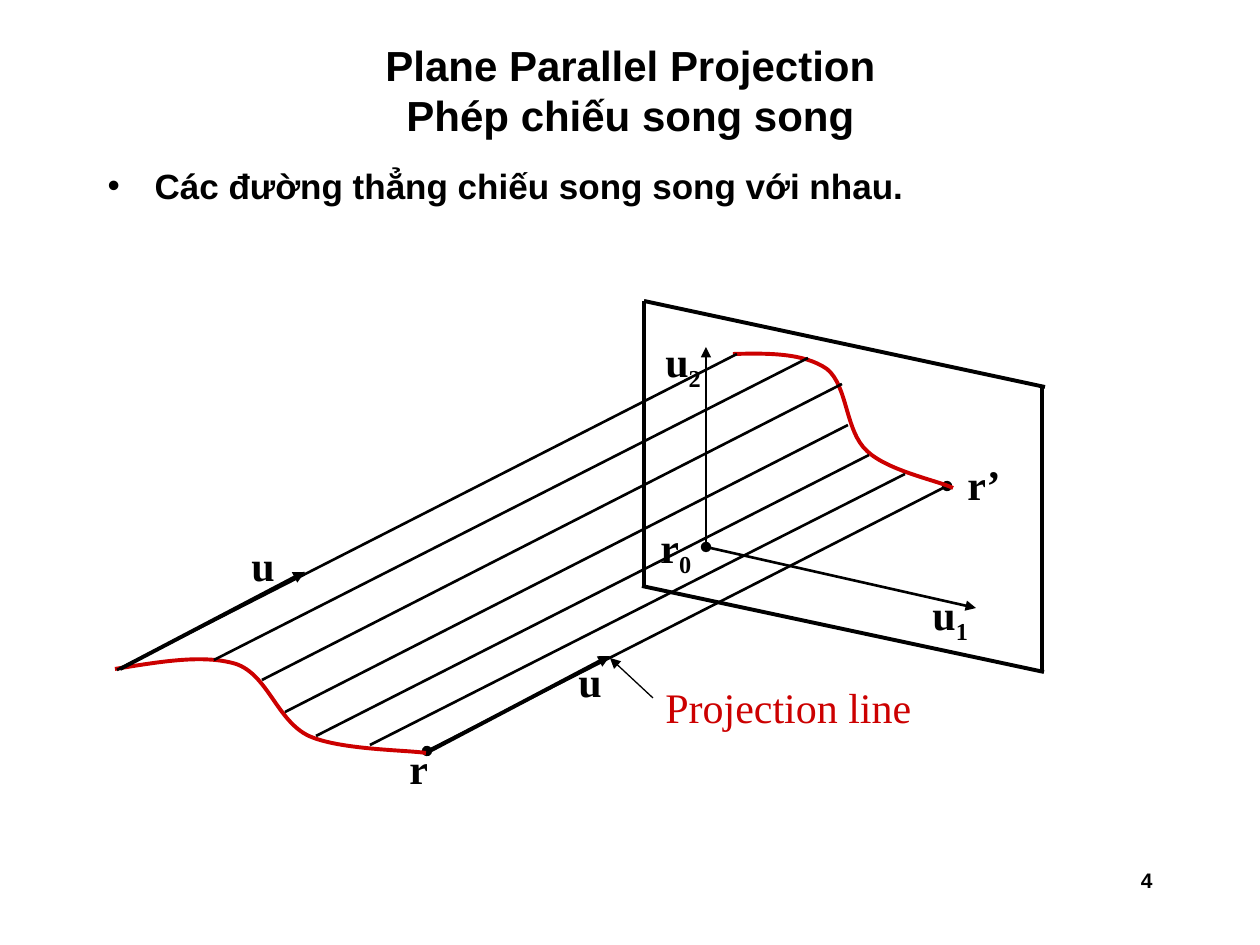
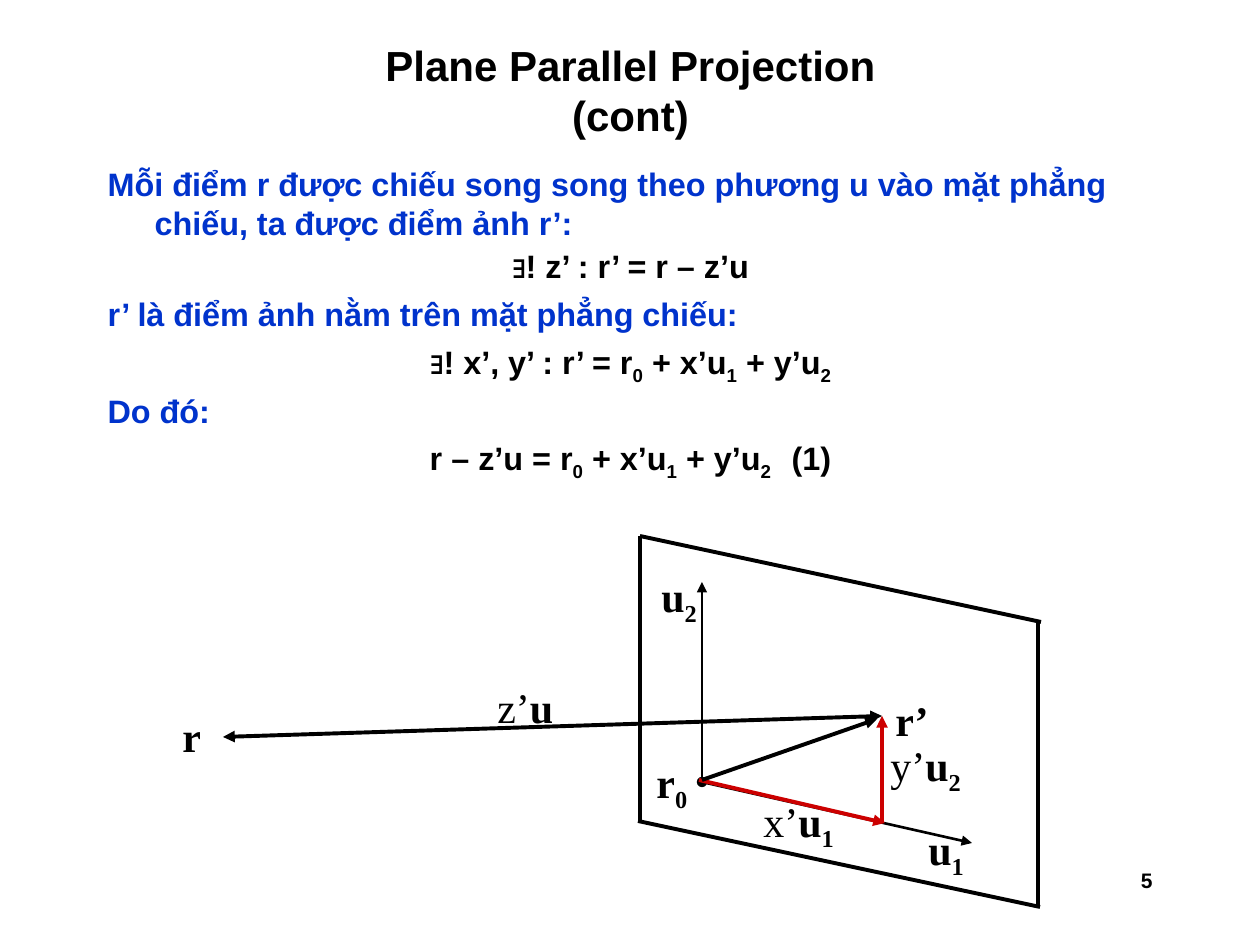
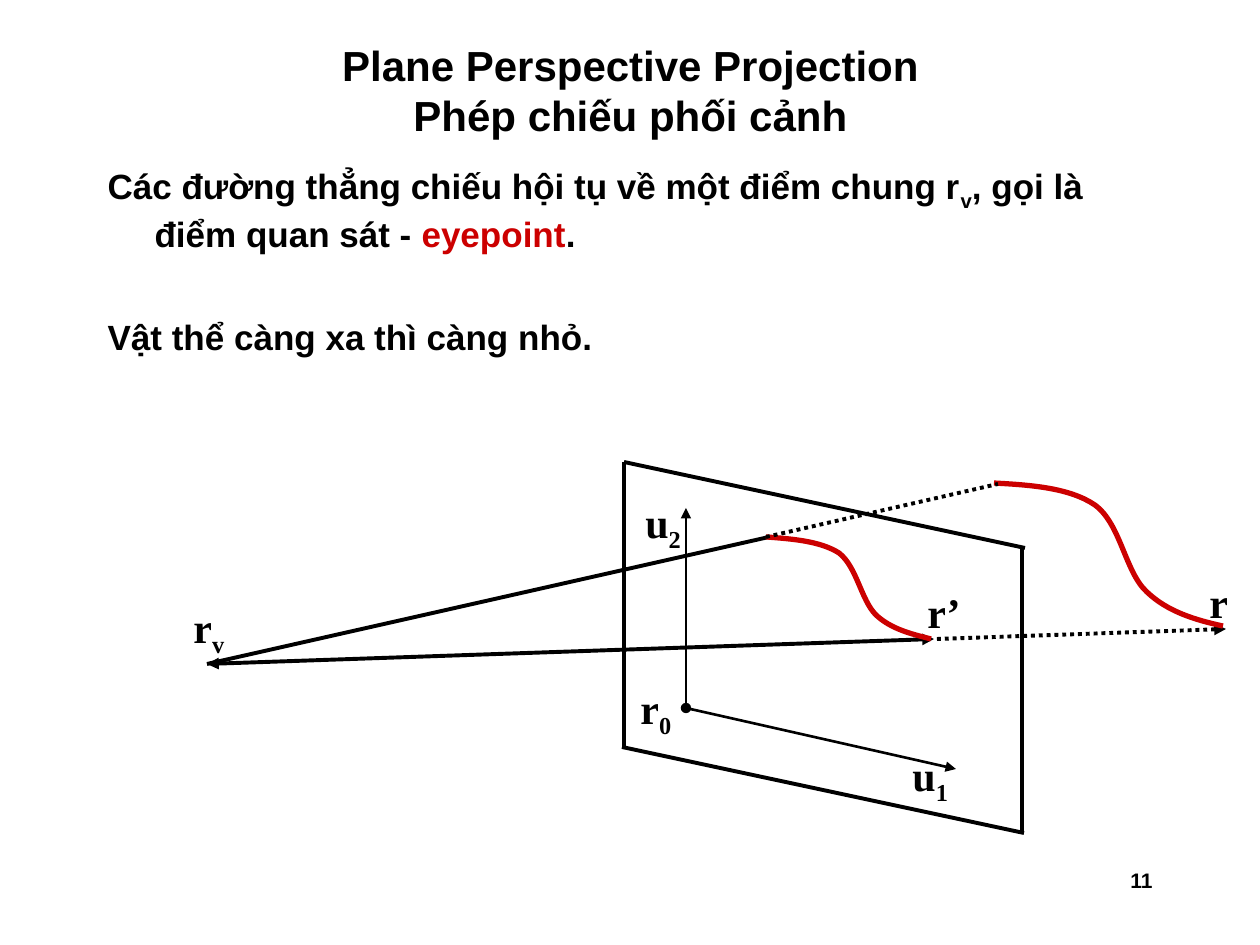
import pptx
import pptx.dml.color
import pptx.enum.dml
import pptx.enum.shapes
import pptx.enum.text
import pptx.oxml
import pptx.oxml.ns
import pptx.util
from lxml import etree

PX = 914400 / 126
COLORS = {"black": "000000", "red": "CC0000", "blue": "0033CC"}
SANS, SERIF = "Arial", "Times New Roman"
HANGING = 47
ALIGN = pptx.enum.text.PP_ALIGN
qn = pptx.oxml.ns.qn


def px(n):
    return pptx.util.Emu(round(n * PX))


def rgb(name):
    return pptx.dml.color.RGBColor.from_string(COLORS[name])


# Text
def add_runs(p, text, size, font, color="black", bold=True):
    """Add runs to p; the character after each underscore is a subscript."""
    first, *rest = text.split("_")
    pieces = [(first, False)]
    for part in rest:
        pieces += [(part[0], True), (part[1:], False)]
    for piece, is_sub in pieces:
        if not piece:
            continue
        r = p.add_run()
        r.text = piece
        r.font.size = pptx.util.Pt(size)
        r.font.name = font
        r.font.bold = bold
        r.font.color.rgb = rgb(color)
        if is_sub:
            r._r.get_or_add_rPr().set("baseline", "-25000")


def place(sp, x, y, w, h):
    sp.left, sp.top, sp.width, sp.height = px(x), px(y), px(w), px(h)
    sp.text_frame.word_wrap = True
    sp.text_frame.auto_size = pptx.enum.text.MSO_AUTO_SIZE.NONE


def add_slide(prs, title, number):
    slide = prs.slides.add_slide(prs.slide_layouts[1])
    sp = slide.shapes.title
    place(sp, 95, 42, 1071, 95)
    tf = sp.text_frame
    tf.vertical_anchor = pptx.enum.text.MSO_ANCHOR.MIDDLE
    tf.text = title
    p = tf.paragraphs[0]
    p.alignment = ALIGN.CENTER
    for r in p.runs:
        r.font.size = pptx.util.Pt(24)
        r.font.name = SANS
        r.font.bold = True
        r.font.color.rgb = rgb("black")
    # Slide number
    sp = slide.shapes.add_textbox(0, 0, 0, 0)
    place(sp, 903, 861, 262, 63)
    p = sp.text_frame.paragraphs[0]
    p.alignment = ALIGN.RIGHT
    add_runs(p, str(number), 12, SANS)
    return slide


def start_body(slide, height):
    sp = slide.placeholders[1]
    place(sp, 95, 158, 1071, height)
    return sp.text_frame


def add_body_line(tf, parts, size, centered=False, spacing=1.0, before=5, bullet=False):
    """Add a paragraph of (text, colour) parts with a hanging indent."""
    p = tf.paragraphs[0]
    if p.runs:
        p = tf.add_paragraph()
    p.alignment = ALIGN.CENTER if centered else ALIGN.LEFT
    p.line_spacing = spacing
    p.space_before = pptx.util.Pt(before)
    for text, color in parts:
        add_runs(p, text, size, SANS, color)
    pPr = p._p.get_or_add_pPr()
    pPr.set("marL", str(px(HANGING)))
    pPr.set("indent", str(px(-HANGING)))
    if not bullet:
        etree.SubElement(pPr, qn("a:buNone"))


def add_label(slide, x, y, w, text, factor="", color="black", bold=True):
    """Add a vector name, after an optional light scalar factor."""
    sp = slide.shapes.add_textbox(0, 0, 0, 0)
    place(sp, x, y, w, 71 if "_" in text else 63)
    p = sp.text_frame.paragraphs[0]
    add_runs(p, factor, 24, SERIF, color, bold=False)
    add_runs(p, text, 24, SERIF, color, bold)


# Lines
def add_line(slide, start, end, width=2.25, color="black", head=None, tail=None, dotted=False):
    cx = slide.shapes.add_connector(
        pptx.enum.shapes.MSO_CONNECTOR.STRAIGHT, *map(px, start + end))
    cx.line.width = pptx.util.Pt(width)
    cx.line.color.rgb = rgb(color)
    if dotted:
        cx.line.dash_style = pptx.enum.dml.MSO_LINE.ROUND_DOT
    ln = cx.line._get_or_add_ln()
    for tag, kind in (("a:headEnd", head), ("a:tailEnd", tail)):
        if kind:
            etree.SubElement(ln, qn(tag)).set("type", kind)
    etree.SubElement(cx._element.spPr, qn("a:effectLst"))


def add_curve(slide, points, width):
    """Draw a red chain of cubic curves: a start, then three points per piece."""
    builder = slide.shapes.build_freeform(*points[0], scale=PX)
    builder.add_line_segments(points[1:], close=False)
    sp = builder.convert_to_shape()
    sp.shadow.inherit = False
    sp.fill.background()
    sp.line.width = pptx.util.Pt(width)
    sp.line.color.rgb = rgb("red")
    steps = list(sp._element.iter(qn("a:lnTo")))
    for i in range(0, len(steps), 3):
        cubic = etree.Element(qn("a:cubicBezTo"))
        steps[i].addprevious(cubic)
        for step in steps[i:i + 3]:
            cubic.append(step[0])
            step.getparent().remove(step)


def add_plane(slide, x, y):
    """Draw the projection plane, its axes and their names around r0 at (x, y)."""
    edges = [((-62, -246), (-62, 38)), ((336, -159), (336, 125)),
             ((-62, -246), (339, -160)), ((-64, 39), (338, 125))]
    for (x1, y1), (x2, y2) in edges:
        add_line(slide, (x + x1, y + y1), (x + x2, y + y2))
    add_line(slide, (x, y), (x, y - 200), 1.5, head="oval", tail="triangle")
    add_line(slide, (x, y), (x + 270, y + 61), 1.5, tail="triangle")
    add_label(slide, x - 53, y - 218, 66, "u_2")
    add_label(slide, x + 214, y + 35, 95, "u_1")
    add_label(slide, x - 58, y - 32, 95, "r_0")


# Slides
def build_parallel(prs):
    slide = add_slide(prs, "Plane Parallel Projection\vPhép chiếu song song", 4)
    tf = start_body(slide, 87)
    add_body_line(tf, [("Các đường thẳng chiếu song song với nhau.", "black")], 20, bullet=True)

    add_plane(slide, 706, 547)
    add_line(slide, (427, 751), (947, 486), 1.5, head="oval", tail="oval")
    add_label(slide, 397, 736, 364, "r")
    add_label(slide, 955, 452, 111, "r’")
    add_line(slide, (653, 698), (610, 658), 0.75, tail="triangle")
    add_label(slide, 653, 675, 364, "Projection line", color="red", bold=False)
    add_line(slide, (426, 753), (610, 656), tail="triangle")
    add_label(slide, 566, 649, 66, "u")

    # Projected curve and object curve
    add_curve(slide, [(733, 354), (769, 353), (804, 353), (827, 369),
                      (848, 386), (845, 431), (867, 451),
                      (888, 471), (939, 481), (953, 488)], 2.25)
    add_curve(slide, [(115, 669), (159, 662), (203, 654), (236, 664),
                      (268, 675), (277, 721), (309, 736),
                      (340, 750), (407, 750), (426, 753)], 2.25)

    # Parallel rays between the curves
    rays = [((117, 670), (737, 354)), ((214, 660), (808, 358)),
            ((262, 680), (842, 384)), ((285, 712), (848, 425)),
            ((316, 736), (869, 455)), ((370, 745), (905, 474))]
    for start, end in rays:
        add_line(slide, start, end, 1.5)
    add_line(slide, (120, 669), (305, 572), tail="triangle")
    add_label(slide, 239, 533, 66, "u")


def build_equations(prs):
    slide = add_slide(prs, "Plane Parallel Projection\v(cont)", 5)
    tf = start_body(slide, 357)
    statements = [
        ("Mỗi điểm r được chiếu song song theo phương u vào mặt phẳng chiếu, "
         "ta được điểm ảnh r’:", "∃! z’ : r’ = r – z’u", 0.9),
        ("r’ là điểm ảnh nằm trên mặt phẳng chiếu:",
         "∃! x’, y’ : r’ = r_0 + x’u_1 + y’u_2", 0.9),
        ("Do đó:", "r – z’u = r_0 + x’u_1 + y’u_2 \t(1)", 1.0),
    ]
    for statement, equation, spacing in statements:
        add_body_line(tf, [(statement, "blue")], 18.5)
        add_body_line(tf, [(equation, "black")], 18.5, centered=True, spacing=spacing)

    add_plane(slide, 702, 782)
    add_line(slide, (223, 737), (882, 716), head="triangle", tail="triangle")
    add_label(slide, 170, 704, 63, "r")
    add_label(slide, 883, 688, 111, "r’")
    add_label(slide, 485, 675, 111, "u", factor="z’")

    # Components in the plane
    add_line(slide, (882, 823), (882, 716), color="red", tail="triangle")
    add_line(slide, (699, 780), (885, 823), color="red", tail="triangle")
    add_label(slide, 751, 789, 120, "u_1", factor="x’")
    add_label(slide, 878, 733, 120, "u_2", factor="y’")
    add_line(slide, (702, 780), (877, 719), tail="triangle")


def build_perspective(prs):
    slide = add_slide(prs, "Plane Perspective Projection\vPhép chiếu phối cảnh", 11)
    tf = start_body(slide, 683)
    add_body_line(tf, [("Các đường thẳng chiếu hội tụ về một điểm chung r_v, "
                        "gọi là điểm quan sát - ", "black"),
                       ("eyepoint", "red"), (".", "black")], 20)
    add_body_line(tf, [("Vật thể càng xa thì càng nhỏ.", "black")], 20, before=35)

    add_plane(slide, 686, 708)
    eye = (207, 664)
    add_line(slide, eye, (934, 639), head="triangle", tail="triangle")
    add_label(slide, 1197, 570, 63, "r")
    add_label(slide, 915, 580, 111, "r’")
    add_line(slide, (937, 639), (1226, 629), tail="triangle", dotted=True)
    add_label(slide, 181, 595, 63, "r_v")

    # Object curve, upper ray and projected curve
    add_curve(slide, [(994, 483), (1032, 485), (1070, 488), (1095, 505),
                      (1121, 524), (1125, 572), (1147, 592),
                      (1168, 612), (1196, 620), (1223, 626)], 3)
    add_line(slide, eye, (769, 537))
    add_curve(slide, [(766, 537), (792, 539), (820, 541), (839, 553),
                      (857, 567), (861, 600), (876, 615),
                      (891, 629), (911, 634), (931, 639)], 3)
    add_line(slide, (766, 537), (998, 484), dotted=True)


def main():
    prs = pptx.Presentation()
    prs.slide_width, prs.slide_height = px(1260), px(945)
    build_parallel(prs)
    build_equations(prs)
    build_perspective(prs)
    prs.save("out.pptx")


if __name__ == "__main__":
    main()
